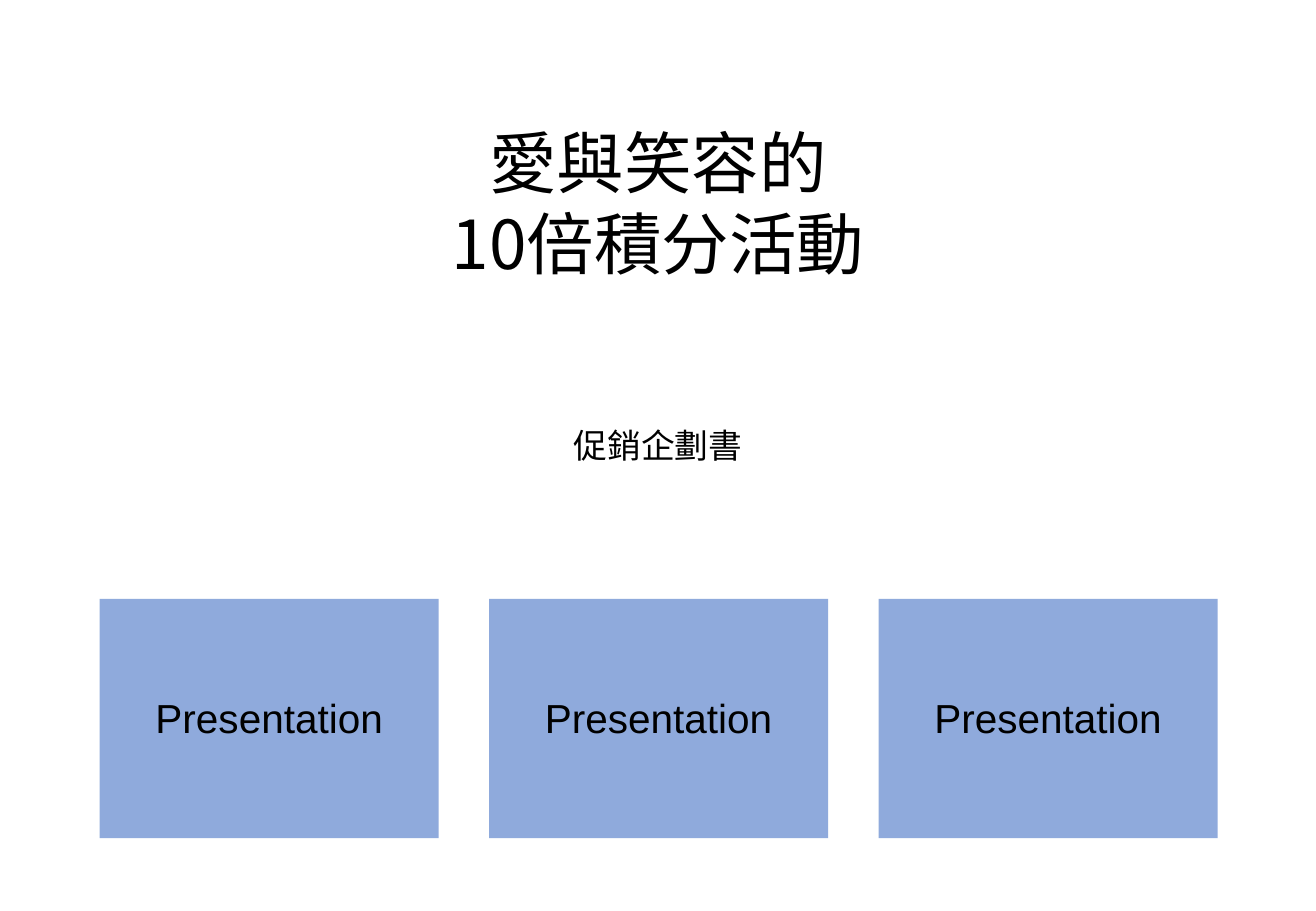
import dataclasses

import lxml.etree
import pptx
import pptx.dml.color
import pptx.enum.shapes
import pptx.enum.text
import pptx.oxml.ns
import pptx.util

Inches = pptx.util.Inches
HUES = {"panel": "8FAADC", "text": "000000"}
SANS, HAN = "Arial", "Noto Sans CJK SC"


@dataclasses.dataclass
class Label:
    lines: list[str]
    left: float
    top: float
    width: float
    height: float
    size: int
    font: str


def tint(name: str) -> pptx.dml.color.RGBColor:
    return pptx.dml.color.RGBColor.from_string(HUES[name])


def write(shape, label: Label) -> None:
    """Place a text shape and fill it with one centred paragraph."""
    shape.left, shape.top = Inches(label.left), Inches(label.top)
    shape.width, shape.height = Inches(label.width), Inches(label.height)
    frame = shape.text_frame
    frame.word_wrap = True
    frame.auto_size = pptx.enum.text.MSO_AUTO_SIZE.SHAPE_TO_FIT_TEXT
    frame.vertical_anchor = pptx.enum.text.MSO_ANCHOR.TOP
    para = frame.paragraphs[0]
    para.alignment = pptx.enum.text.PP_ALIGN.CENTER
    para.space_before = pptx.util.Pt(0)
    for row, line in enumerate(label.lines):
        if row:
            para.add_line_break()
        run = para.add_run()
        run.text = line
        run.font.size = pptx.util.Pt(label.size)
        run.font.name = label.font
        run.font.color.rgb = tint("text")
        # East Asian typeface
        east = lxml.etree.SubElement(run.font._element, pptx.oxml.ns.qn("a:ea"))
        east.set("typeface", label.font)


def panel(slide, left: float, top: float, width: float, height: float) -> None:
    """Draw a plain filled rectangle."""
    box = slide.shapes.add_shape(
        pptx.enum.shapes.MSO_SHAPE.RECTANGLE,
        Inches(left), Inches(top), Inches(width), Inches(height))
    box.shadow.inherit = False
    box.fill.solid()
    box.fill.fore_color.rgb = tint("panel")
    box.line.fill.background()


def main() -> None:
    deck = pptx.Presentation()
    deck.slide_width, deck.slide_height = Inches(10.83), Inches(7.5)
    slide = deck.slides.add_slide(deck.slide_layouts[0])

    # Title and subtitle
    write(slide.shapes.title,
          Label(["愛與笑容的", "10倍積分活動"], 1.34, 0.95, 8.15, 1.45, 40, HAN))
    write(slide.placeholders[1],
          Label(["促銷企劃書"], 4.19, 3.45, 2.45, 0.44, 20, HAN))

    # Row of three captioned panels
    first, last, count = 0.82, 7.23, 3
    step = (last - first) / (count - 1)
    for col in range(count):
        left = first + col * step
        panel(slide, left, 4.93, 2.79, 1.97)
        text = slide.shapes.add_textbox(0, 0, 0, 0)
        write(text, Label(["Presentation"], left + 0.17, 5.66, 2.45, 0.5, 24, SANS))

    deck.save("out.pptx")


if __name__ == "__main__":
    main()
